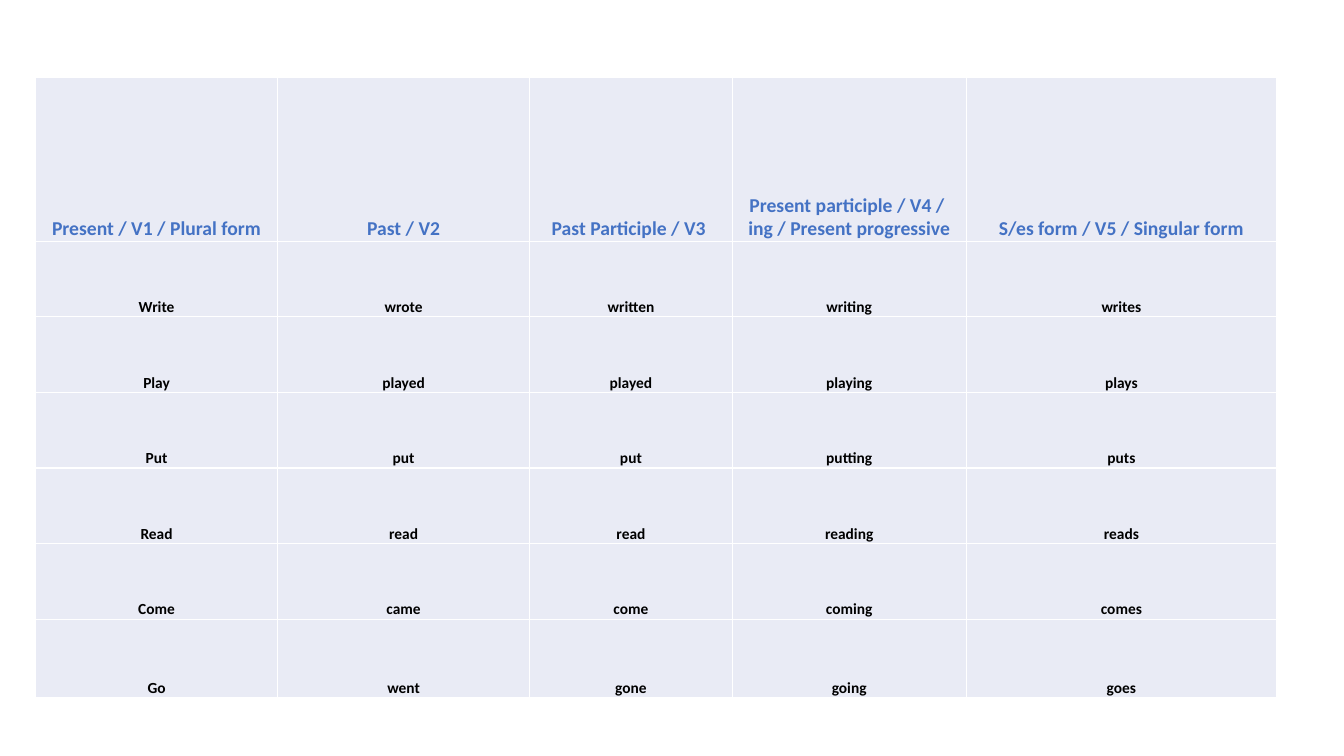
from dataclasses import dataclass

from lxml import etree
from pptx import Presentation
from pptx import util as u
from pptx.dml.color import RGBColor
from pptx.enum import text
from pptx.oxml import ns


@dataclass(frozen=True)
class Theme:
    font: str = "Calibri"
    heading: str = "4472C4"
    body: str = "000000"
    cell: str = "E9EBF5"
    border: str = "FFFFFF"
    heading_size: int = 14
    body_size: int = 11
    border_width: int = 1


# Verb forms, one column per form
HEADINGS = [
    "Present / V1 / Plural form",
    "Past / V2",
    "Past Participle / V3 ",
    "Present participle / V4 / \ning / Present progressive",
    "S/es form / V5 / Singular form",
]
VERBS = [
    ["Write", "wrote", "written", "writing", "writes"],
    ["Play", "played", "played", "playing", "plays"],
    ["Put", "put", "put", "putting", "puts"],
    ["Read", "read", "read", "reading", "reads"],
    ["Come", "came", "come", "coming", "comes"],
    ["Go", "went", "gone", "going", "goes"],
]
COLUMN_WEIGHTS = [2.4, 2.5, 2.01, 2.32, 3.08]
ROW_WEIGHTS = [1.62] + [0.75] * 5 + [0.78]


class SlideBuilder:
    def __init__(self, deck, theme):
        self.deck = deck
        self.theme = theme
        self.page = deck.slides.add_slide(deck.slide_layouts[6])

    def across(self, percent):
        return round(self.deck.slide_width * percent / 100)

    def down(self, percent):
        return round(self.deck.slide_height * percent / 100)

    def table(self, left, top, width, height, rows, column_weights, row_weights):
        """Place a table; lengths are percentages of the slide's size."""
        width, height = self.across(width), self.down(height)
        frame = self.page.shapes.add_table(
            len(rows), len(column_weights),
            self.across(left), self.down(top), width, height)
        grid = frame.table
        grid.first_row = grid.horz_banding = False

        # Share the size out by weight
        for column, weight in zip(grid.columns, column_weights):
            column.width = round(width * weight / sum(column_weights))
        for row, weight in zip(grid.rows, row_weights):
            row.height = round(height * weight / sum(row_weights))

        for row_index, words in enumerate(rows):
            for column_index, word in enumerate(words):
                self.cell(grid.cell(row_index, column_index), word, row_index == 0)

    def cell(self, cell, word, is_heading):
        theme = self.theme
        cell.vertical_anchor = text.MSO_ANCHOR.BOTTOM
        cell.margin_left = cell.margin_right = cell.margin_top = u.Inches(0.01)
        cell.margin_bottom = 0
        self.borders(cell)
        cell.fill.solid()
        cell.fill.fore_color.rgb = RGBColor.from_string(theme.cell)

        para = cell.text_frame.paragraphs[0]
        para.text = word
        para.alignment = text.PP_ALIGN.CENTER
        para.font.name = theme.font
        para.font.bold = True
        para.font.size = u.Pt(theme.heading_size if is_heading else theme.body_size)
        para.font.color.rgb = RGBColor.from_string(
            theme.heading if is_heading else theme.body)

    def borders(self, cell):
        properties = cell._tc.get_or_add_tcPr()
        for side in ("lnL", "lnR", "lnT", "lnB"):
            line = etree.SubElement(properties, ns.qn(f"a:{side}"),
                                    w=str(u.Pt(self.theme.border_width)))
            fill = etree.SubElement(line, ns.qn("a:solidFill"))
            etree.SubElement(fill, ns.qn("a:srgbClr"), val=self.theme.border)


def main():
    deck = Presentation()
    deck.slide_width, deck.slide_height = u.Inches(13.33), u.Inches(7.5)

    # Table of verb forms
    builder = SlideBuilder(deck, Theme())
    builder.table(2.65, 10.3, 92.35, 82, [HEADINGS] + VERBS,
                  COLUMN_WEIGHTS, ROW_WEIGHTS)
    deck.save("out.pptx")


if __name__ == "__main__":
    main()
